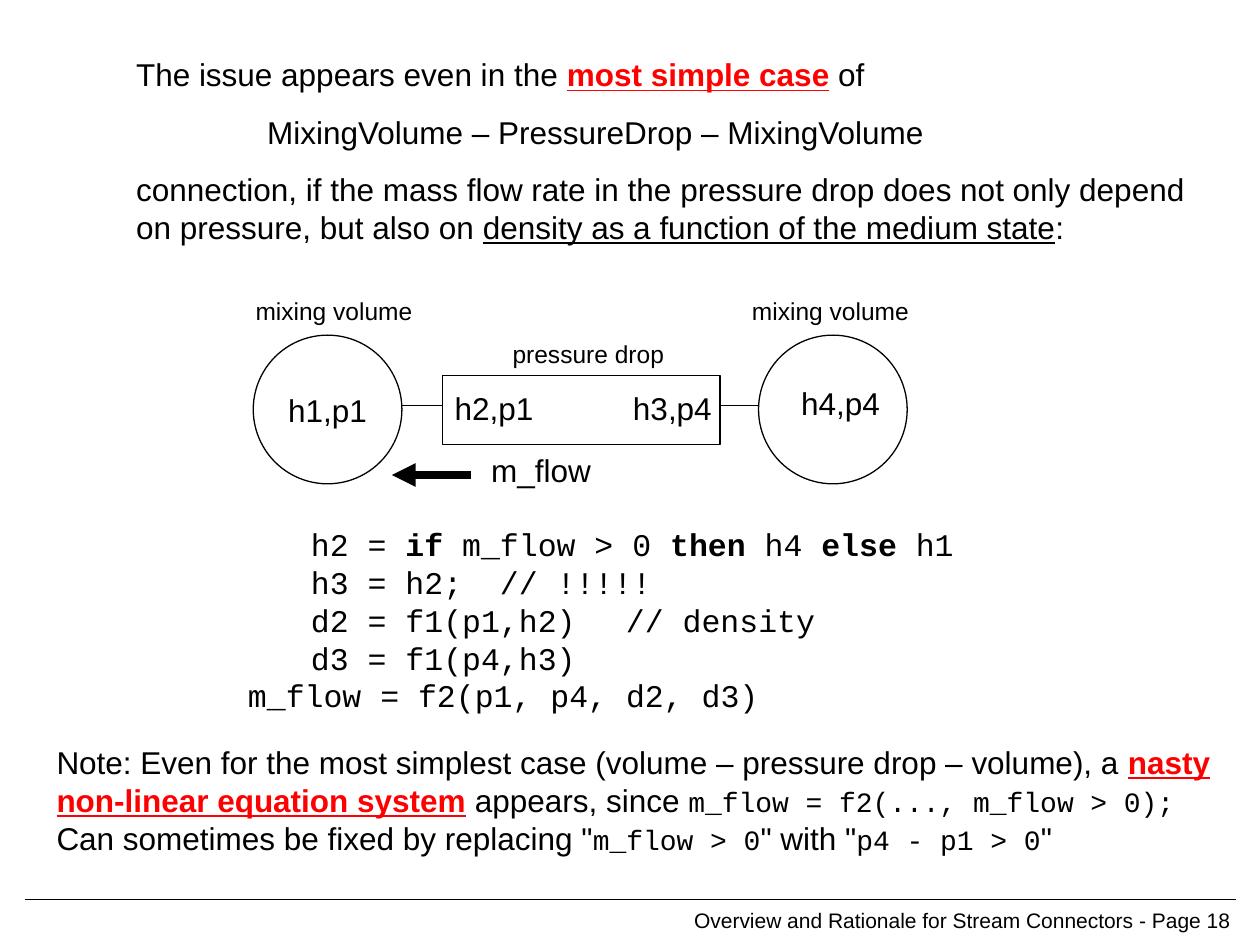
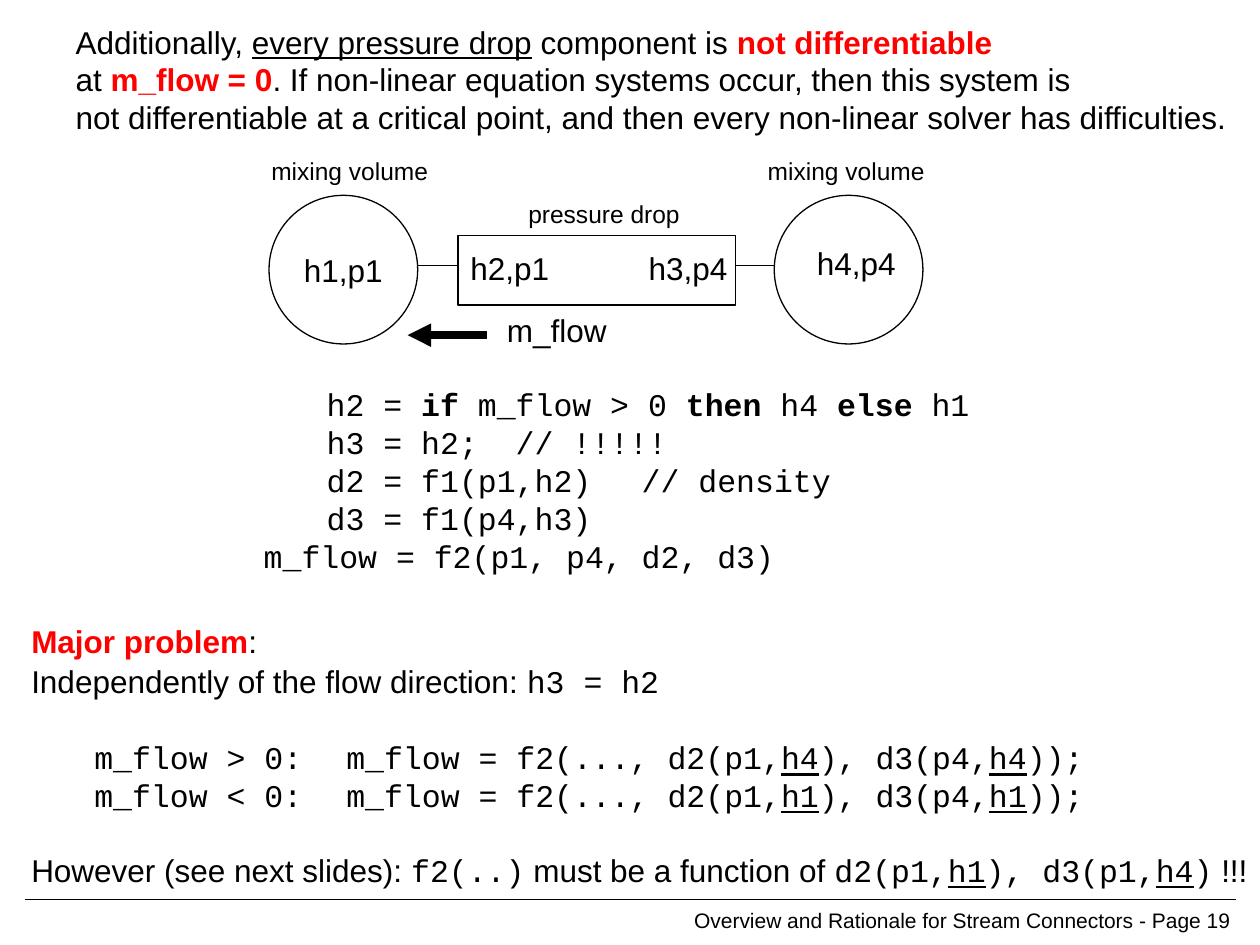
from dataclasses import dataclass, replace

from lxml import etree
from pptx import Presentation
from pptx.dml.color import RGBColor
from pptx.enum.shapes import MSO_CONNECTOR, MSO_SHAPE
from pptx.enum.text import MSO_ANCHOR, MSO_AUTO_SIZE, PP_ALIGN
from pptx.oxml.ns import qn
from pptx.util import Inches, Pt

LINE = MSO_CONNECTOR.STRAIGHT
OVAL, RECTANGLE = MSO_SHAPE.OVAL, MSO_SHAPE.RECTANGLE
TOP, MIDDLE = MSO_ANCHOR.TOP, MSO_ANCHOR.MIDDLE
LEFT, CENTER, RIGHT = PP_ALIGN.LEFT, PP_ALIGN.CENTER, PP_ALIGN.RIGHT
FIXED = MSO_AUTO_SIZE.NONE
TITLE_ONLY = 5
COLUMNS, ROWS = 100, 75
CELL = Inches(0.1)


@dataclass(frozen=True)
class Theme:
    """Colours, fonts, type sizes and line widths of the slides."""
    ink: RGBColor = RGBColor(0, 0, 0)
    alert: RGBColor = RGBColor(255, 0, 0)
    sans: str = "Arial"
    mono: str = "Courier New"
    body: int = 18
    small_code: int = 16
    label: int = 14
    footer: int = 12
    hairline: float = 0.75
    arrow: float = 4.5
    blank_line: int = 20
    mono_column: float = 1.5


THEME = Theme()


@dataclass(frozen=True)
class Style:
    """Character format of a run."""
    size: int = THEME.body
    font: str = THEME.sans
    color: RGBColor = THEME.ink
    bold: bool = False
    underline: bool = False


@dataclass(frozen=True)
class Block:
    """A paragraph: its runs, spacing in points, indent and tabs in cells."""
    runs: tuple
    before: float = 0
    after: float = 0
    indent: float = 0
    tabs: tuple = ()


@dataclass(frozen=True)
class Box:
    """A rectangle in grid cells that can hold other boxes."""
    left: float
    top: float
    width: float
    height: float

    def inner(self, left, top, width, height):
        """Return a box placed relative to this one."""
        return Box(self.left + left, self.top + top, width, height)

    def lengths(self):
        """Return left, top, width and height as slide lengths."""
        return [cells(value) for value in (self.left, self.top, self.width, self.height)]


PLAIN = Style()
MARKED = Style(underline=True)
ALERT = Style(color=THEME.alert, bold=True)
MARKED_ALERT = replace(ALERT, underline=True)
CODE = Style(font=THEME.mono)
KEYWORD = replace(CODE, bold=True)
MARKED_CODE = replace(CODE, underline=True)
SMALL_CODE = replace(CODE, size=THEME.small_code)
LABEL = Style(size=THEME.label)
FOOTER = Style(size=THEME.footer)


def cells(count):
    """Convert a number of grid cells to a slide length."""
    return int(count * CELL)


def add_run(paragraph, text, style):
    """Add a run, with line breaks where the text has them."""
    for number, part in enumerate(text.split("\n")):
        if number:
            paragraph.add_line_break()
        if part:
            run = paragraph.add_run()
            run.text = part
            font = run.font
            font.size, font.name = Pt(style.size), style.font
            font.bold, font.underline = style.bold, style.underline
            font.color.rgb = style.color


def fill_text(shape, blocks, align=LEFT, anchor=TOP, wrap=True, inset=True):
    """Write paragraphs into a shape."""
    frame = shape.text_frame
    frame.auto_size, frame.word_wrap, frame.vertical_anchor = FIXED, wrap, anchor
    frame.margin_left = frame.margin_right = cells(1 if inset else 0)
    frame.margin_top = frame.margin_bottom = cells(0.5 if inset else 0)
    for number, block in enumerate(blocks):
        paragraph = frame.add_paragraph() if number else frame.paragraphs[0]
        paragraph.alignment = align
        paragraph.space_before, paragraph.space_after = Pt(block.before), Pt(block.after)
        properties = paragraph._p.get_or_add_pPr()
        properties.set("marL", str(cells(block.indent)))
        properties.set("indent", "0")
        if block.tabs:
            tab_list = etree.SubElement(properties, qn("a:tabLst"))
            for position in block.tabs:
                etree.SubElement(tab_list, qn("a:tab"), pos=str(cells(position)), algn="l")
        for text, style in block.runs:
            add_run(paragraph, text, style)


def add_text(slide, box, blocks, **options):
    """Add a text box."""
    fill_text(slide.shapes.add_textbox(*box.lengths()), blocks, **options)


def add_label(slide, box, text, style=PLAIN):
    """Add a one-line label."""
    add_text(slide, box, [Block(((text, style),))], wrap=False)


def add_outline(slide, kind, box):
    """Add an unfilled preset shape with a thin outline."""
    shape = slide.shapes.add_shape(kind, *box.lengths())
    shape.shadow.inherit = False
    shape.fill.background()
    shape.line.color.rgb = THEME.ink
    shape.line.width = Pt(THEME.hairline)
    return shape


def add_line(slide, start, end, width=THEME.hairline, arrow=False):
    """Add a straight line between two grid points."""
    connector = slide.shapes.add_connector(LINE, *map(cells, (*start, *end)))
    connector.line.color.rgb = THEME.ink
    connector.line.width = Pt(width)
    properties = connector.element.spPr
    if arrow:
        etree.SubElement(properties.find(qn("a:ln")), qn("a:tailEnd"), type="triangle")
    etree.SubElement(properties, qn("a:effectLst"))


def add_footer(slide, box, page):
    """Place the rule and the page line."""
    add_line(slide, (box.left, box.top), (box.left + box.width, box.top))
    text = f"Overview and Rationale for Stream Connectors - Page {page}"
    add_text(slide, box.inner(37.8, 0, box.width - 38.2, box.height),
             [Block(((text, FOOTER),))], align=RIGHT, anchor=MIDDLE, wrap=False, inset=False)


def add_lead(slide, box, blocks):
    """Put the opening statement in the title placeholder."""
    title = slide.shapes.title
    title.left, title.top, title.width, title.height = box.lengths()
    fill_text(title, blocks)


def add_diagram(slide, box):
    """Draw two mixing volumes joined by a pressure drop."""
    diameter, pipe_row, arrow_row = 11.8, 9.2, 14.7
    drop_left, drop_width = 15, 22.05
    far = box.width - diameter
    volumes = []
    for left, label_left in ((0, -0.8), (far, far - 1.5)):
        volumes.append(add_outline(slide, OVAL, box.inner(left, 3.6, diameter, diameter)))
        add_label(slide, box.inner(label_left, 0, 14.4, 3.4), "mixing volume", LABEL)
    fill_text(volumes[0], [Block((("h1,p1", PLAIN),))],
              align=CENTER, anchor=MIDDLE, wrap=False)
    add_outline(slide, RECTANGLE, box.inner(drop_left, 6.8, drop_width, 5.5))
    add_label(slide, box.inner(19.6, 3.4, 14, 3.4), "pressure drop", LABEL)
    for start, end in ((drop_left, diameter), (far, drop_left + drop_width)):
        add_line(slide, (box.left + start, box.top + pipe_row),
                 (box.left + end, box.top + pipe_row))
    for text, left, top in (("h2,p1", 15, 7.4), ("h3,p4", 29.15, 7.4), ("h4,p4", 42.5, 7)):
        add_label(slide, box.inner(left, top, 8.2, 4), text)
    add_line(slide, (box.left + 17.3, box.top + arrow_row),
             (box.left + 11, box.top + arrow_row), THEME.arrow, arrow=True)
    add_label(slide, box.inner(17.9, 12.3, 9.9, 4), "m_flow")


def add_equations(slide, box):
    """Write the equations of the diagram, aligned by tab stops."""
    tabs = tuple(THEME.mono_column * column for column in (4, 20))
    condition = (("\th2 = ", CODE), ("if", KEYWORD), (" m_flow > 0 ", CODE),
                 ("then", KEYWORD), (" h4 ", CODE), ("else", KEYWORD), (" h1", CODE))
    lines = ("\th3 = h2;\t// !!!!!", "\td2 = f1(p1,h2)\t// density",
             "\td3 = f1(p4,h3)", "m_flow = f2(p1, p4, d2, d3)")
    rows = [condition, *(((line, CODE),) for line in lines)]
    add_text(slide, box, [Block(runs, tabs=tabs) for runs in rows])


def add_problem(slide, box):
    """Write the major problem and its two flow cases."""
    tabs = tuple(THEME.mono_column * column for column in (4, 17))
    blocks = [Block((("Major problem", ALERT), (":", PLAIN))),
              Block((("Independently of the flow direction: ", PLAIN), ("h3 = h2", CODE)),
                    before=1)]
    for sign, state, gap in ((">", "h4", THEME.blank_line + 2), ("<", "h1", 0)):
        blocks.append(Block(((f"\tm_flow {sign} 0:\tm_flow = f2(..., d2(p1,", CODE),
                             (state, MARKED_CODE), ("), d3(p4,", CODE),
                             (state, MARKED_CODE), ("));", CODE)),
                            before=gap, tabs=tabs))
    blocks.append(Block((("However (see next slides): ", PLAIN), ("f2(..)", CODE),
                         (" must be a function of ", PLAIN), ("d2(p1,", CODE),
                         ("h1", MARKED_CODE), ("), d3(p1,", CODE), ("h4", MARKED_CODE),
                         (")", CODE), (" !!!", PLAIN)), before=THEME.blank_line + 1))
    add_text(slide, box, blocks)


def add_note(slide, box):
    """Write the note on the non-linear equation system."""
    runs = (("Note: Even for the most simplest case (volume – pressure drop – volume), a ", PLAIN),
            ("nasty non-linear equation system", MARKED_ALERT), (" appears, since ", PLAIN),
            ("m_flow = f2(..., m_flow > 0);", SMALL_CODE),
            ("\nCan sometimes be fixed by replacing \"", PLAIN), ("m_flow > 0", SMALL_CODE),
            ("\" with \"", PLAIN), ("p4 - p1 > 0", SMALL_CODE), ("\"", PLAIN))
    add_text(slide, box, [Block(runs)])


def add_model_slide(presentation, page, lead, lead_box, model_box):
    """Add a slide with lead, diagram, equations and footer."""
    slide = presentation.slides.add_slide(presentation.slide_layouts[TITLE_ONLY])
    add_footer(slide, Box(2, 71.4, 96.1, 3.2), page)
    add_lead(slide, lead_box, lead)
    add_diagram(slide, model_box)
    add_equations(slide, model_box.inner(-1.4, 18.2, 62, 16))
    return slide


def main():
    """Build both slides and save them."""
    presentation = Presentation()
    presentation.slide_width, presentation.slide_height = cells(COLUMNS), cells(ROWS)
    simple_case = [
        Block((("The issue appears even in the ", PLAIN), ("most simple case", MARKED_ALERT),
               (" of", PLAIN)), after=11.2),
        Block((("MixingVolume – PressureDrop – MixingVolume", PLAIN),), after=11.2, indent=10.4),
        Block((("connection, if the mass flow rate in the pressure drop does not only depend "
                "on pressure, but also on ", PLAIN),
               ("density as a function of the medium state", MARKED), (":", PLAIN)), after=11.2)]
    not_smooth = [
        Block((("Additionally, ", PLAIN), ("every pressure drop", MARKED),
               (" component is ", PLAIN), ("not differentiable\n", ALERT), ("at ", PLAIN),
               ("m_flow = 0", ALERT),
               (". If non-linear equation systems occur, then this system is\nnot differentiable "
                "at a critical point, and then every non-linear solver has difficulties.", PLAIN)))]
    slide = add_model_slide(presentation, 18, simple_case,
                            Box(9.8, 3.9, 86, 16.2), Box(20.1, 23, 51.9, 34.2))
    add_note(slide, Box(3.5, 58.5, 96.5, 10))
    slide = add_model_slide(presentation, 19, not_smooth,
                            Box(5, 1.3, 94.5, 10), Box(21.35, 11.9, 51.9, 34.2))
    add_problem(slide, Box(1.5, 48.9, 101, 22.4))
    presentation.save("out.pptx")


if __name__ == "__main__":
    main()
